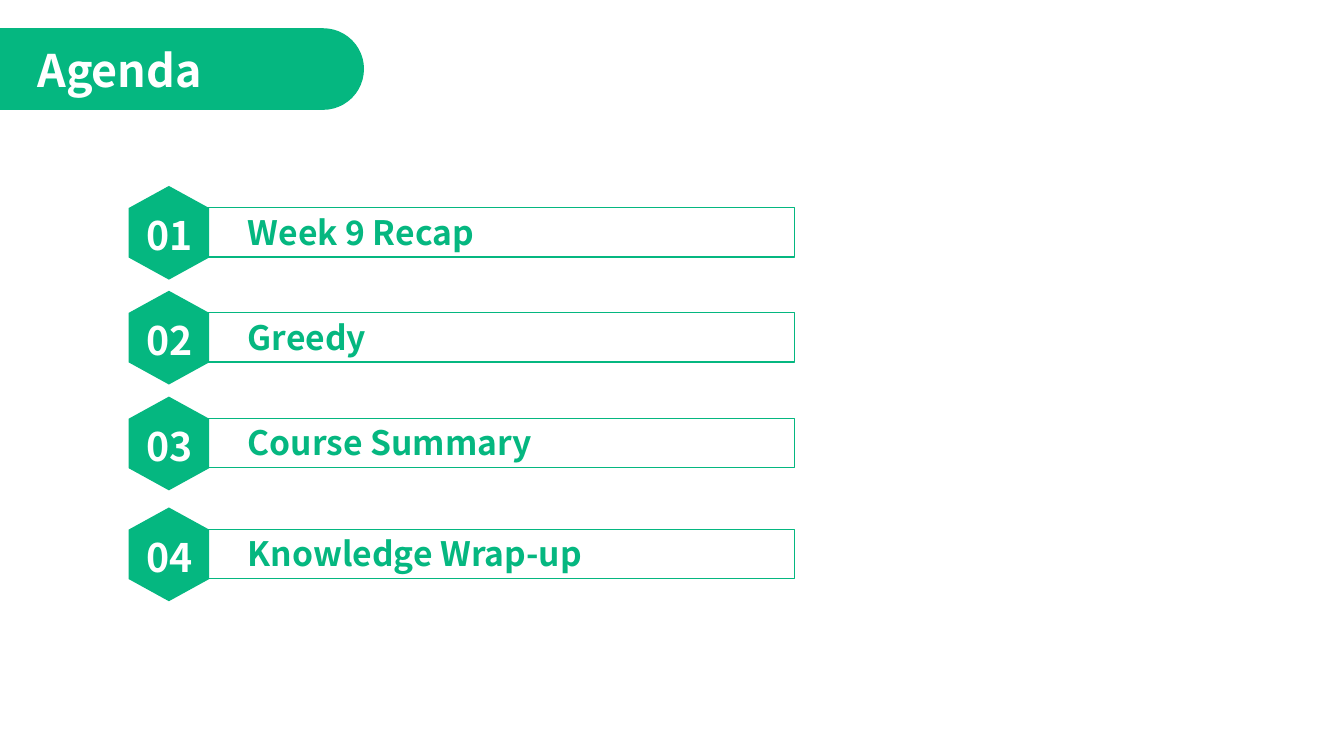
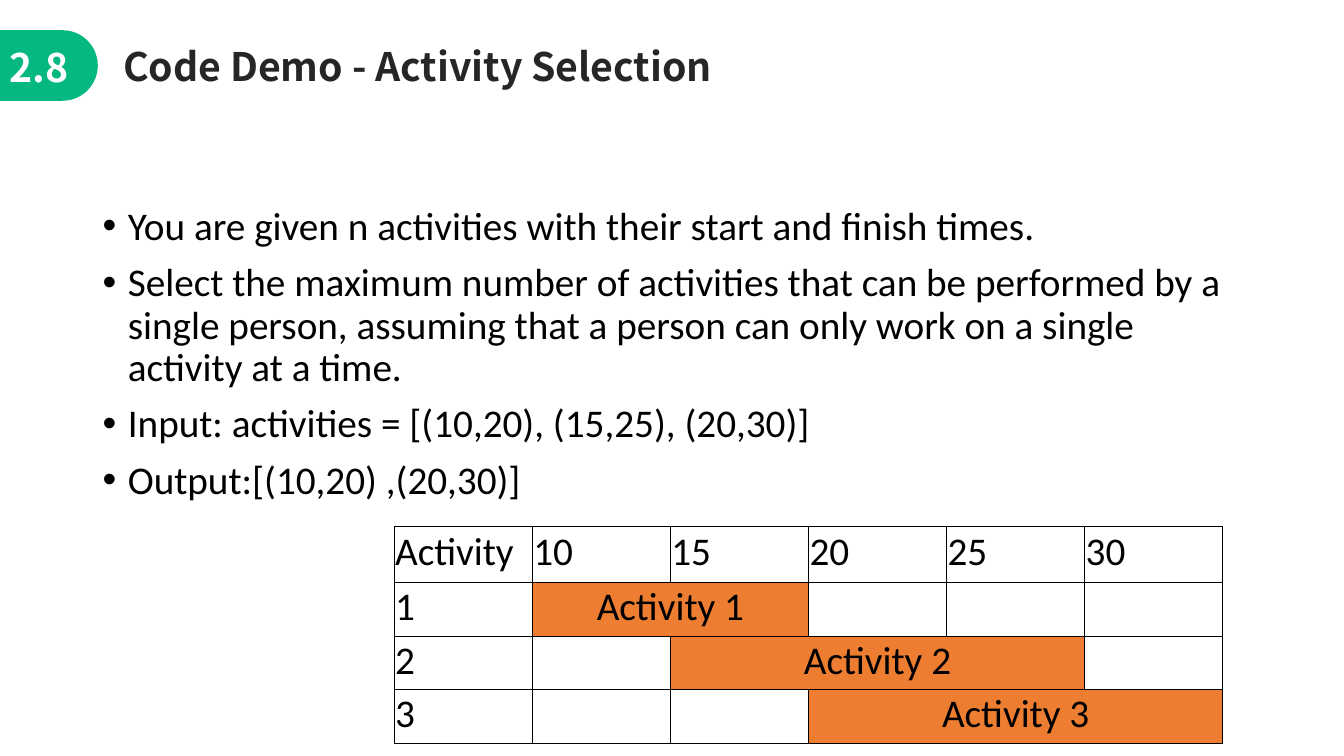
from dataclasses import dataclass

from lxml.etree import SubElement
from pptx import Presentation
from pptx.dml.color import RGBColor
from pptx.enum.shapes import MSO_SHAPE
from pptx.enum.text import MSO_ANCHOR, MSO_AUTO_SIZE, PP_ALIGN
from pptx.oxml.ns import qn
from pptx.util import Inches, Pt


@dataclass(frozen=True)
class Theme:
    green: RGBColor = RGBColor(0x05, 0xB7, 0x80)
    orange: RGBColor = RGBColor(0xED, 0x7D, 0x31)
    ink: RGBColor = RGBColor(0x26, 0x26, 0x26)
    black: RGBColor = RGBColor(0, 0, 0)
    white: RGBColor = RGBColor(255, 255, 255)
    heading_font: str = "Noto Sans CJK SC"
    body_font: str = "Calibri"
    banner_size: int = 32
    body_size: int = 28
    entry_size: int = 24
    box_line: float = 1
    grid_line: float = 0.5


def write(frame, *lines, size, color, font, bold=False, align=PP_ALIGN.LEFT,
          spacing=None, before=None, bullet=False):
    frame.word_wrap = True
    for index, line in enumerate(lines):
        paragraph = frame.paragraphs[0] if index == 0 else frame.add_paragraph()
        paragraph.alignment = align
        paragraph.line_spacing = spacing
        paragraph.space_before = before
        if bullet:
            properties = paragraph._p.get_or_add_pPr()
            properties.set("marL", str(Inches(0.25)))
            properties.set("indent", str(Inches(-0.25)))
            SubElement(properties, qn("a:buFont")).set("typeface", "Arial")
            SubElement(properties, qn("a:buChar")).set("char", "•")
        run = paragraph.add_run()
        run.text = line
        run.font.size = Pt(size)
        run.font.name = font
        run.font.bold = bold
        run.font.color.rgb = color


def place(element, left, top, width, height):
    element.left, element.top = Inches(left), Inches(top)
    element.width, element.height = Inches(width), Inches(height)


class Deck:
    def __init__(self, theme):
        self.theme = theme
        self.presentation = Presentation()
        self.presentation.slide_width = Inches(13.33)
        self.presentation.slide_height = Inches(7.5)
        self.slide = None

    def add_slide(self):
        self.slide = self.presentation.slides.add_slide(self.presentation.slide_layouts[5])

    def heading_format(self, size, color):
        return dict(size=size, color=color, font=self.theme.heading_font, bold=True)

    def body_format(self):
        return dict(size=self.theme.body_size, color=self.theme.black, font=self.theme.body_font)

    def title(self, text, left, top, width, height, size, color):
        title = self.slide.shapes.title
        place(title, left, top, width, height)
        title.text_frame.vertical_anchor = MSO_ANCHOR.TOP
        title.text_frame.auto_size = MSO_AUTO_SIZE.NONE
        write(title.text_frame, text, **self.heading_format(size, color))

    def text(self, *lines, at, parent=None, **style):
        shapes = (parent or self.slide).shapes
        box = shapes.add_textbox(*map(Inches, at))
        write(box.text_frame, *lines, **style)

    def shape(self, kind, left, top, width, height, fill=None, line=None, parent=None):
        shapes = (parent or self.slide).shapes
        shape = shapes.add_shape(kind, *map(Inches, (left, top, width, height)))
        shape.shadow.inherit = False
        if fill is None:
            shape.fill.background()
        else:
            shape.fill.solid()
            shape.fill.fore_color.rgb = fill
        if line is None:
            shape.line.fill.background()
        else:
            shape.line.color.rgb = line
            shape.line.width = Pt(self.theme.box_line)
        return shape

    def edge_tab(self, top, width, height):
        tab = self.shape(MSO_SHAPE.ROUND_2_SAME_RECTANGLE, (width - height) / 2,
                         top + (height - width) / 2, height, width, fill=self.theme.green)
        tab.rotation = 90
        tab.adjustments[0] = 0.5
        self.slide.shapes.title.element.addprevious(tab.element)

    def agenda_entry(self, number, label, top):
        theme = self.theme
        self.shape(MSO_SHAPE.RECTANGLE, 2.05, top + 0.15, 5.83, 0.49, line=theme.green)
        self.text(label, at=(2.36, top + 0.14, 5.3, 0.5),
                  **self.heading_format(theme.entry_size, theme.green))
        badge = self.slide.shapes.add_group_shape()
        hexagon = self.shape(MSO_SHAPE.HEXAGON, 1.21, top, 0.93, 0.8,
                             fill=theme.green, parent=badge)
        hexagon.rotation = 90
        hexagon.adjustments[0] = 0.275
        self.text(f"{number:02}", at=(1.35, top + 0.14, 0.82, 0.57), parent=badge,
                  **self.heading_format(theme.body_size, theme.white))

    def bullets(self, *lines, at):
        self.text(*lines, at=at, spacing=0.9, before=Pt(10), bullet=True, **self.body_format())

    def cell_style(self, cell):
        cell.margin_left = cell.margin_right = cell.margin_top = Inches(0.01)
        cell.margin_bottom = Inches(0.05)
        cell.vertical_anchor = MSO_ANCHOR.MIDDLE
        properties = cell._tc.get_or_add_tcPr()
        for side in ("a:lnL", "a:lnR", "a:lnT", "a:lnB"):
            border = SubElement(properties, qn(side), w=str(Pt(self.theme.grid_line)))
            fill = SubElement(border, qn("a:solidFill"))
            SubElement(fill, qn("a:srgbClr"), val=str(self.theme.black))
        cell.fill.background()

    def timeline(self, times, bars, left, top, column_width, header_height, row_height):
        headers = ["Activity", *map(str, times)]
        rows, columns = len(bars) + 1, len(headers)
        frame = self.slide.shapes.add_table(
            rows, columns, Inches(left), Inches(top), Inches(column_width * columns),
            Inches(header_height + row_height * len(bars)))
        table = frame.table
        table.first_row = table.horz_banding = False
        for column in table.columns:
            column.width = Inches(column_width)
        for index, row in enumerate(table.rows):
            row.height = Inches(row_height if index else header_height)
        for cell in table.iter_cells():
            self.cell_style(cell)
        for column, header in enumerate(headers):
            write(table.cell(0, column).text_frame, header, **self.body_format())
        for activity, (first, last) in enumerate(bars, start=1):
            write(table.cell(activity, 0).text_frame, str(activity), **self.body_format())
            bar = table.cell(activity, first)
            bar.merge(table.cell(activity, last))
            bar.fill.solid()
            bar.fill.fore_color.rgb = self.theme.orange
            write(bar.text_frame, f"Activity {activity}", align=PP_ALIGN.CENTER,
                  **self.body_format())


def agenda_slide(deck):
    theme = deck.theme
    deck.add_slide()
    deck.edge_tab(top=0.28, width=3.61, height=0.81)
    deck.title("Agenda", 0.27, 0.37, 3.06, 0.64, theme.banner_size, theme.white)
    entries = (("Week 9 Recap", 1.91), ("Greedy", 2.95),
               ("Course Summary", 4), ("Knowledge Wrap-up", 5.1))
    for number, (label, top) in enumerate(entries, start=1):
        deck.agenda_entry(number, label, top)


def activity_slide(deck):
    theme = deck.theme
    deck.add_slide()
    deck.edge_tab(top=0.3, width=0.97, height=0.7)
    deck.text("2.8", at=(0, 0.38, 0.89, 0.57),
              **deck.heading_format(theme.body_size, theme.white))
    deck.title("Code Demo - Activity Selection", 1.12, 0.37, 9.6, 0.57,
               theme.body_size, theme.ink)
    deck.bullets(
        "You are given n activities with their start and finish times.",
        "Select the maximum number of activities that can be performed by a single person, "
        "assuming that a person can only work on a single activity at a time.",
        "Input: activities = [(10,20), (15,25), (20,30)]",
        "Output:[(10,20) ,(20,30)]",
        at=(0.92, 2, 11.5, 4.76))
    deck.timeline(times=range(10, 31, 5), bars=((1, 2), (2, 4), (3, 5)), left=3.91, top=5.22,
                  column_width=1.37, header_height=0.56, row_height=0.53)


def main():
    deck = Deck(Theme())
    agenda_slide(deck)
    activity_slide(deck)
    deck.presentation.save("out.pptx")


if __name__ == "__main__":
    main()
